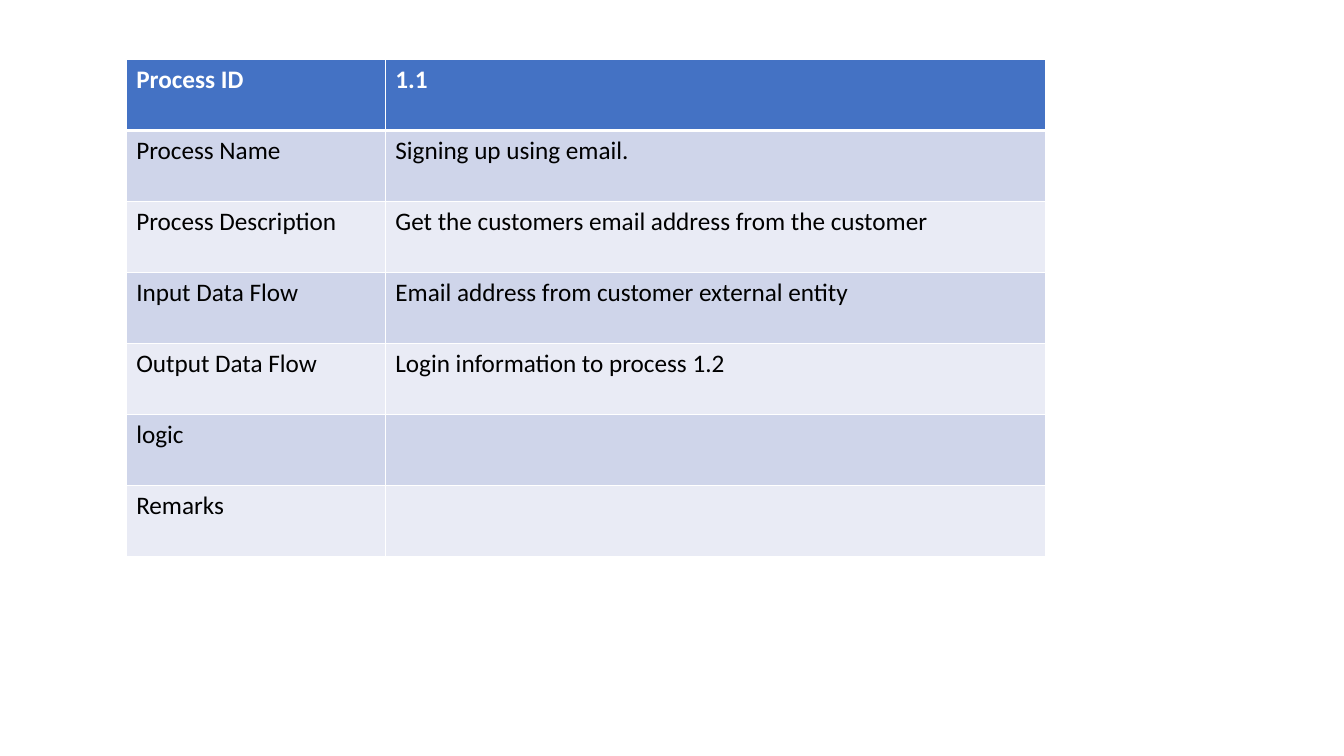
"""Build a slide with the description table of process 1.1."""
from lxml import etree
from pptx import Presentation
from pptx import util as u
from pptx.dml.color import RGBColor
from pptx.oxml import ns

ROWS = [
    ("Process ID", "1.1"),
    ("Process Name", "Signing up using email."),
    ("Process Description", "Get the customers email address from the customer"),
    ("Input Data Flow", "Email address from customer external entity"),
    ("Output Data Flow", "Login information to process 1.2"),
    ("logic", ""),
    ("Remarks", ""),
]


def colour(value):
    return RGBColor.from_string(value)


class ProcessSlide:
    header = {"fill": "4472C4", "ink": "FFFFFF", "bold": True}
    bands = [{"fill": "CFD5EA", "ink": "000000", "bold": False},
             {"fill": "E9EBF5", "ink": "000000", "bold": False}]
    border = "FFFFFF"

    def __init__(self, deck):
        self.page = deck.slides.add_slide(deck.slide_layouts[6])

    def table(self, rows, left, top, widths, row_height):
        table = self.page.shapes.add_table(
            len(rows), len(widths), u.Cm(left), u.Cm(top),
            u.Cm(sum(widths)), u.Cm(row_height * len(rows))).table
        for column, width in zip(table.columns, widths):
            column.width = u.Cm(width)
        for number, row in enumerate(rows):
            table.rows[number].height = u.Cm(row_height)
            look = self.bands[(number - 1) % 2] if number else self.header
            edges = {"lnL": 1, "lnR": 1, "lnT": 3 if number == 1 else 1,
                     "lnB": 1 if number else 3}
            for cell, words in zip(table.rows[number].cells, row):
                self.borders(cell, edges)
                self.cell(cell, words, look)

    def borders(self, cell, edges):
        properties = cell._tc.get_or_add_tcPr()
        for edge, points in edges.items():
            line = etree.SubElement(properties, ns.qn(f"a:{edge}"), w=str(u.Pt(points)))
            fill = etree.SubElement(line, ns.qn("a:solidFill"))
            etree.SubElement(fill, ns.qn("a:srgbClr"), val=self.border)

    def cell(self, cell, words, look):
        cell.fill.solid()
        cell.fill.fore_color.rgb = colour(look["fill"])
        if not words:
            return
        span = cell.text_frame.paragraphs[0].add_run()
        span.text = words
        for name, value in {"name": "Calibri", "size": u.Pt(18), "bold": look["bold"]}.items():
            setattr(span.font, name, value)
        span.font.color.rgb = colour(look["ink"])


def main():
    deck = Presentation()
    deck.slide_width, deck.slide_height = u.Cm(33.87), u.Cm(19.05)
    slide = ProcessSlide(deck)
    slide.table(ROWS, left=3.18, top=1.5, widths=[6.53, 16.64], row_height=1.79)
    deck.save("out.pptx")


if __name__ == "__main__":
    main()
